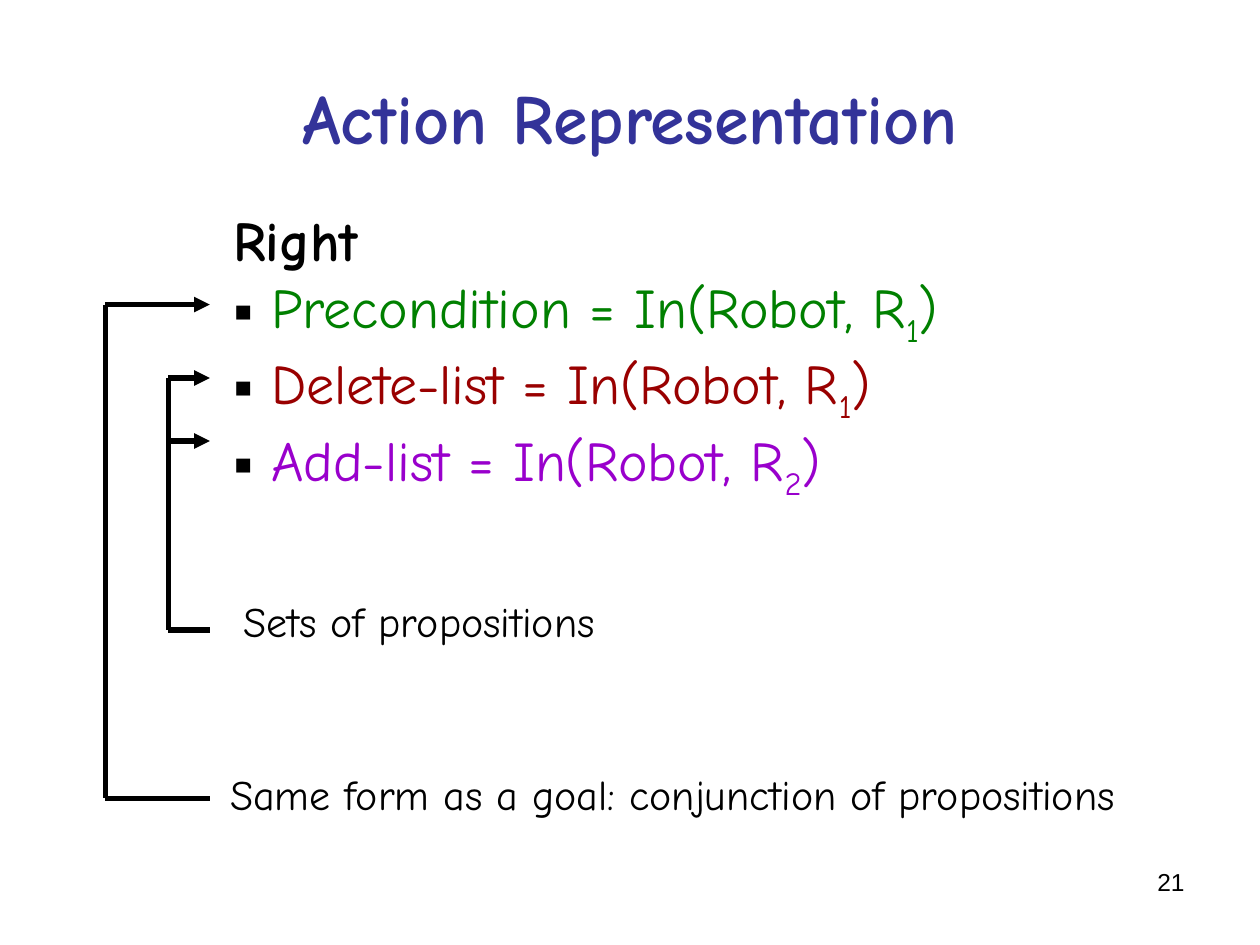
"""Build the slide on action representation, with brackets linking the list to its captions."""
import pptx
import pptx.dml.color
import pptx.enum.shapes
import pptx.enum.text
import pptx.oxml.ns
import pptx.util
from lxml import etree

Cm = pptx.util.Cm
FONT = "Comic Neue"
BLACK = "000000"
TITLE = "Action Representation"
HEADING = "Right"
ITEMS = [
    ("Precondition = In(Robot, R", "1", "008000"),
    ("Delete-list = In(Robot, R", "1", "990000"),
    ("Add-list = In(Robot, R", "2", "9900CC"),
]
LABELS = [
    ("Sets of propositions", FONT, 24, "LEFT", (4.65, 11.89, 8.53, 1.27)),
    ("Same form as a goal: conjunction of propositions", FONT, 24, "LEFT",
     (4.39, 15.37, 19.61, 1.27)),
    ("21", "Arial", 14, "RIGHT", (18.21, 17.35, 5.92, 1.32)),
]
BRACKET_RIGHT = 4.23
BRACKETS = [
    {"left": 2.12, "arrows": [6.14], "foot": 16.09},
    {"left": 3.39, "arrows": [7.62, 8.89], "foot": 12.7},
]


def rgb(color):
    return pptx.dml.color.RGBColor.from_string(color)


def add_child(parent, tag, **attributes):
    return etree.SubElement(parent, pptx.oxml.ns.qn(tag), attributes)


def place(shape, box):
    shape.left, shape.top, shape.width, shape.height = map(Cm, box)


def add_run(paragraph, text, size, color, font=FONT, bold=False, baseline=None):
    run = paragraph.add_run()
    run.text = text
    run.font.name = font
    run.font.size = pptx.util.Pt(size)
    run.font.bold = bold
    run.font.color.rgb = rgb(color)
    if baseline:
        run.font._element.set("baseline", str(baseline))


def format_list_paragraph(paragraph, bullet):
    paragraph.space_before = pptx.util.Pt(0)
    properties = paragraph._p.get_or_add_pPr()
    indent = Cm(0.76) if bullet else 0
    properties.set("marL", str(indent))
    properties.set("indent", str(-indent))
    if bullet:
        bullet_color = add_child(properties, "a:buClr")
        add_child(bullet_color, "a:srgbClr", val=BLACK)
        add_child(properties, "a:buFont", typeface="Arial")
        add_child(properties, "a:buChar", char=bullet)
    else:
        add_child(properties, "a:buNone")


def fill_title(title):
    place(title, (1.27, 0.76, 22.86, 3.18))
    title.text_frame.vertical_anchor = pptx.enum.text.MSO_ANCHOR.MIDDLE
    paragraph = title.text_frame.paragraphs[0]
    paragraph.alignment = pptx.enum.text.PP_ALIGN.CENTER
    add_run(paragraph, TITLE, 40, "333399", bold=True)


def fill_list(body):
    place(body, (4.45, 4.01, 16, 5.66))
    frame = body.text_frame
    frame.auto_size = pptx.enum.text.MSO_AUTO_SIZE.NONE
    heading = frame.paragraphs[0]
    format_list_paragraph(heading, None)
    add_run(heading, HEADING, 32, BLACK, bold=True)
    for text, index, color in ITEMS:
        paragraph = frame.add_paragraph()
        format_list_paragraph(paragraph, "▪")
        add_run(paragraph, text, 32, color)
        add_run(paragraph, index, 32, color, baseline=-25000)
        add_run(paragraph, ")", 32, color)


def add_label(slide, text, font, size, alignment, box):
    label = slide.shapes.add_textbox(*map(Cm, box))
    label.text_frame.word_wrap = alignment == "RIGHT"
    paragraph = label.text_frame.paragraphs[0]
    paragraph.alignment = pptx.enum.text.PP_ALIGN[alignment]
    add_run(paragraph, text, size, BLACK, font)


def add_line(slide, start, end, arrow=False):
    connector = slide.shapes.add_connector(
        pptx.enum.shapes.MSO_CONNECTOR.STRAIGHT, *map(Cm, start + end))
    connector.line.color.rgb = rgb(BLACK)
    connector.line.width = pptx.util.Pt(3)
    if arrow:
        add_child(connector.line._get_or_add_ln(), "a:tailEnd", type="triangle")
    add_child(connector._element.spPr, "a:effectLst")


def add_bracket(slide, left, arrows, foot):
    add_line(slide, (left, arrows[0]), (left, foot))
    add_line(slide, (left, foot), (BRACKET_RIGHT, foot))
    for height in arrows:
        add_line(slide, (left, height), (BRACKET_RIGHT, height), arrow=True)


def main():
    presentation = pptx.Presentation()
    presentation.slide_width, presentation.slide_height = Cm(25.4), Cm(19.05)
    slide = presentation.slides.add_slide(presentation.slide_layouts[1])
    fill_title(slide.shapes.title)
    fill_list(slide.placeholders[1])
    for bracket in BRACKETS:
        add_bracket(slide, **bracket)
    for label in LABELS:
        add_label(slide, *label)
    presentation.save("out.pptx")


if __name__ == "__main__":
    main()
